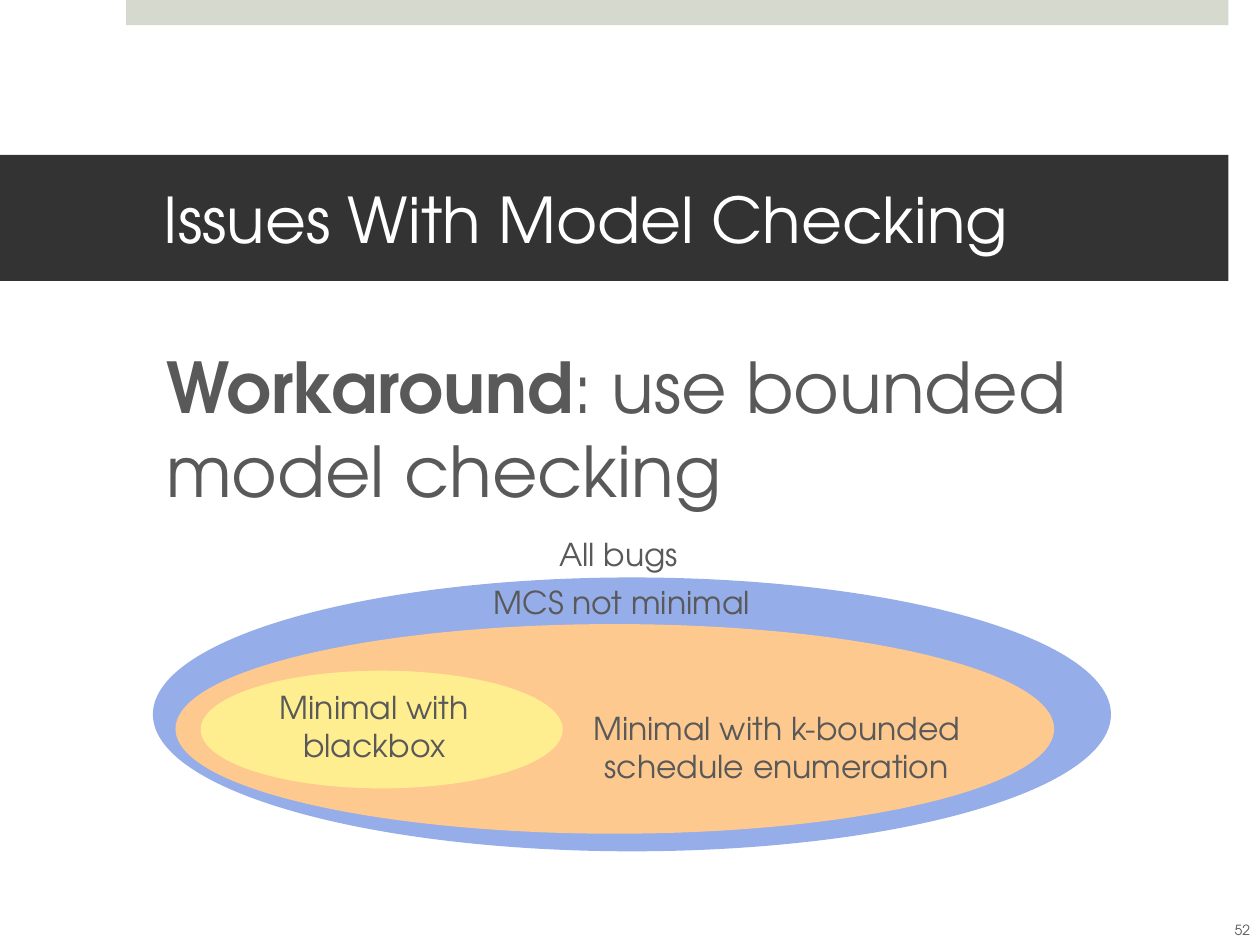
from dataclasses import dataclass

from pptx import Presentation
from pptx.dml.color import RGBColor
from pptx.enum.shapes import MSO_SHAPE as Shape
from pptx.enum.text import MSO_ANCHOR as Anchor, MSO_AUTO_SIZE as AutoSize, PP_ALIGN as Align
from pptx.util import Pt

EMU_PER_PX = 9144


@dataclass(frozen=True)
class Theme:
    """Colours, font and type sizes of the slide."""
    font: str = "TeX Gyre Adventor"
    accent: str = "D6D9CD"
    banner: str = "333333"
    title_text: str = "FFFFFF"
    text: str = "595959"
    all_bugs: str = "95ADE8"
    bounded: str = "FEC98E"
    blackbox: str = "FEEE90"
    title_size: int = 36
    body_size: int = 40
    label_size: int = 18
    number_size: int = 8


THEME = Theme()


def px(*lengths):
    """Turn px lengths into EMU."""
    return [length * EMU_PER_PX for length in lengths]


def add_filled(slide, kind, box, color, outlined=False):
    """Add a flat preset shape, outlined in its own colour if asked."""
    shape = slide.shapes.add_shape(kind, *px(*box))
    shape.shadow.inherit = False
    shape.fill.solid()
    shape.fill.fore_color.rgb = RGBColor.from_string(color)
    if outlined:
        shape.line.color.rgb = RGBColor.from_string(color)
        shape.line.width = Pt(1)
    else:
        shape.line.fill.background()
    return shape


def add_run(paragraph, text, size, color=THEME.text, bold=False):
    """Append one styled run to a paragraph."""
    run = paragraph.add_run()
    run.text = text
    run.font.name = THEME.font
    run.font.size = Pt(size)
    run.font.bold = bold
    run.font.color.rgb = RGBColor.from_string(color)


def add_banner(slide, box, text):
    """Add the dark title band with its text."""
    frame = add_filled(slide, Shape.RECTANGLE, box, THEME.banner).text_frame
    frame.word_wrap = True
    frame.vertical_anchor = Anchor.MIDDLE
    frame.margin_left, frame.margin_right, frame.margin_top, frame.margin_bottom = px(130, 30, 5, 5)
    paragraph = frame.paragraphs[0]
    paragraph.alignment = Align.LEFT
    add_run(paragraph, text, THEME.title_size, THEME.title_text)


def add_body(slide, box, lead, rest):
    """Add the main statement with a bold lead word."""
    frame = slide.shapes.add_textbox(*px(*box)).text_frame
    frame.word_wrap = True
    paragraph = frame.paragraphs[0]
    paragraph.space_before = Pt(20)
    add_run(paragraph, lead, THEME.body_size, bold=True)
    add_run(paragraph, rest, THEME.body_size)


def add_label(slide, box, lines, alignment=Align.CENTER):
    """Add an unwrapped diagram label, one paragraph per line."""
    frame = slide.shapes.add_textbox(*px(*box)).text_frame
    frame.word_wrap = False
    frame.auto_size = AutoSize.SHAPE_TO_FIT_TEXT
    for index, line in enumerate(lines):
        paragraph = frame.add_paragraph() if index else frame.paragraphs[0]
        paragraph.alignment = alignment
        add_run(paragraph, line, THEME.label_size)


def add_page_number(slide, box, number):
    """Add the small page number."""
    frame = slide.shapes.add_textbox(*px(*box)).text_frame
    frame.word_wrap = True
    frame.vertical_anchor = Anchor.MIDDLE
    paragraph = frame.paragraphs[0]
    paragraph.alignment = Align.CENTER
    add_run(paragraph, number, THEME.number_size)


def main():
    """Build and save the slide."""
    presentation = Presentation()
    presentation.slide_width, presentation.slide_height = px(1000, 750)
    slide = presentation.slides.add_slide(presentation.slide_layouts[6])

    add_filled(slide, Shape.RECTANGLE, (100, 0, 875, 20), THEME.accent)
    add_banner(slide, (0, 123, 975, 100), "Issues With Model Checking")
    add_body(slide, (122, 268, 832, 435), "Workaround", ": use bounded model checking")

    for box, color in (
        ((122, 459, 759, 216), THEME.all_bugs),
        ((140, 496, 696, 165), THEME.bounded),
        ((160, 533, 286, 92), THEME.blackbox),
    ):
        add_filled(slide, Shape.OVAL, box, color, outlined=True)

    add_label(slide, (459, 558, 315, 71), ("Minimal with k-bounded", "schedule enumeration"))
    add_label(slide, (211, 541, 172, 71), ("Minimal with ", "blackbox"))
    add_label(slide, (434, 420, 115, 40), ("All bugs",), Align.LEFT)
    add_label(slide, (382, 458, 226, 40), ("MCS not minimal",), Align.LEFT)
    add_page_number(slide, (961, 718, 50, 40), "52")

    presentation.save("out.pptx")


if __name__ == "__main__":
    main()
